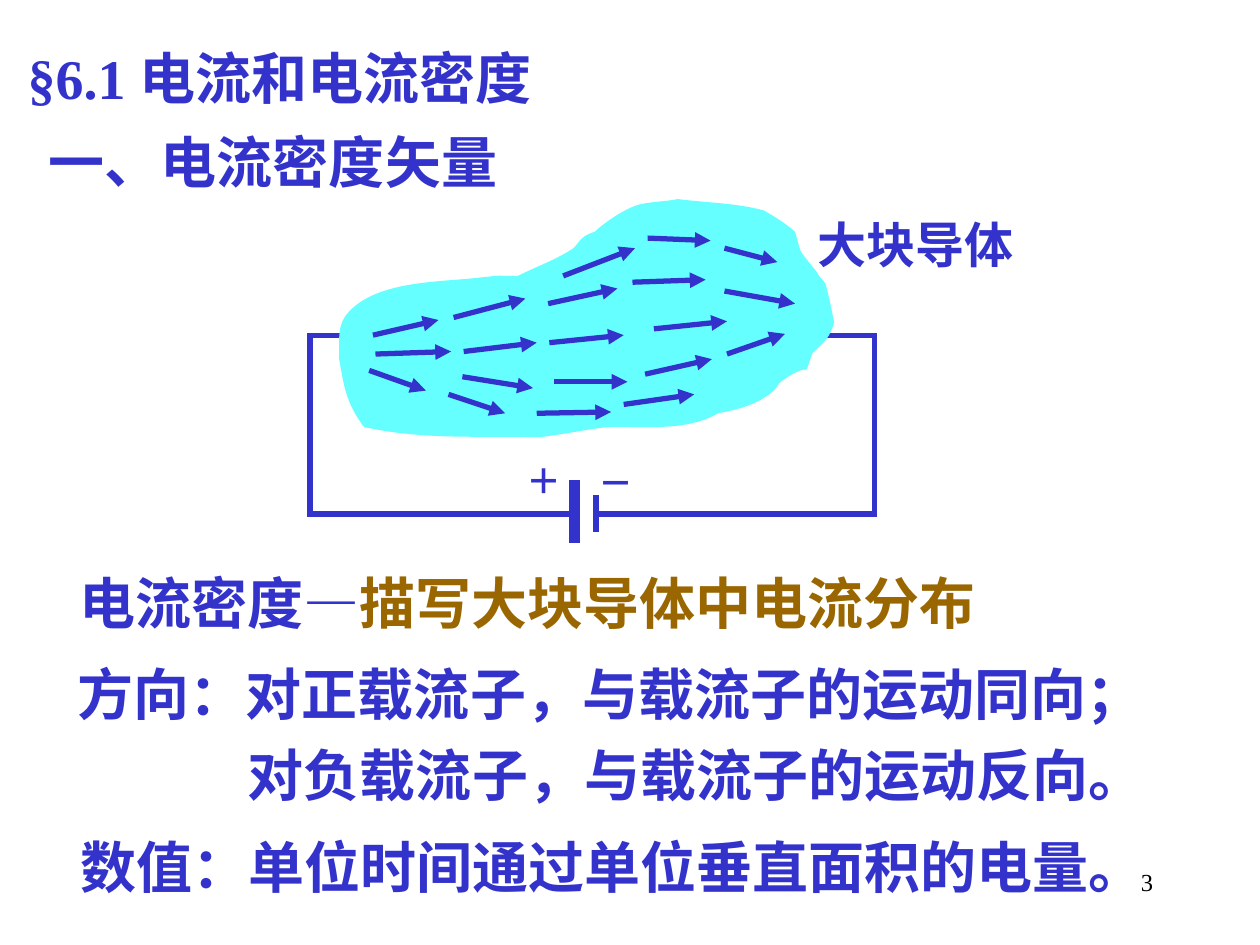
from dataclasses import dataclass

from lxml.etree import SubElement
from pptx import Presentation
from pptx.dml.color import RGBColor
from pptx.enum.shapes import MSO_CONNECTOR, MSO_SHAPE
from pptx.enum.text import PP_ALIGN
from pptx.oxml.ns import qn
from pptx.util import Inches, Pt


@dataclass(frozen=True)
class Theme:
    """Colours, fonts and sizes of the slide."""
    blue: str = "3333CC"
    brown: str = "996600"
    cyan: str = "66FFFF"
    white: str = "FFFFFF"
    black: str = "000000"
    latin: str = "Times New Roman"
    chinese: str = "Noto Sans CJK SC"
    body: int = 32
    label: int = 28
    sign: int = 20
    number: int = 14
    wire: float = 3
    plate: float = 6


@dataclass(frozen=True)
class Grid:
    """Square cells counted from a left top corner."""
    left: int
    top: int
    cell: int

    def point(self, column, row):
        """Give the slide position of a grid point."""
        return self.left + column * self.cell, self.top + row * self.cell

    def box(self, column, row, columns, rows):
        """Give left, top, width and height of a block of cells."""
        return *self.point(column, row), columns * self.cell, rows * self.cell

    def inner(self, column, row):
        """Give a grid of the same cells that starts at a point of this one."""
        return Grid(*self.point(column, row), self.cell)


THEME = Theme()

OUTLINE_START = (171, 69)
OUTLINE_CURVES = [
    ((185, 62), (199, 57), (212, 49)), ((220, 45), (218, 38), (232, 34)),
    ((239, 27), (258, 14), (269, 12)), ((278, 10), (288, 10), (298, 8)),
    ((321, 11), (344, 11), (366, 17)), ((375, 22), (383, 27), (391, 34)),
    ((397, 54), (392, 45), (405, 62)), ((407, 64), (409, 67), (410, 69)),
    ((412, 71), (415, 75), (415, 75)), ((418, 85), (420, 96), (422, 106)),
    ((419, 117), (415, 121), (405, 130)), ((396, 154), (407, 134), (381, 152)),
    ((378, 154), (376, 158), (374, 160)), ((362, 171), (346, 175), (330, 178)),
    ((304, 193), (271, 188), (242, 189)), ((224, 191), (206, 195), (188, 197)),
    ((133, 196), (97, 199), (49, 189)), ((34, 169), (33, 156), (29, 134)),
    ((30, 123), (27, 111), (34, 101)), ((54, 74), (103, 74), (134, 71)),
    ((164, 68), (147, 69), (171, 69)),
]
CURRENT_ARROWS = [
    (56, 116, 108, 104), (120, 102, 177, 87), (195, 91, 250, 79),
    (262, 74, 320, 72), (58, 131, 118, 129), (128, 129, 186, 122),
    (335, 81, 391, 91), (196, 122, 255, 116), (279, 111, 337, 105),
    (337, 131, 383, 115), (127, 149, 183, 158), (200, 153, 258, 153),
    (272, 147, 325, 135), (53, 144, 98, 160), (116, 163, 161, 178),
    (186, 178, 245, 177), (207, 69, 264, 47), (274, 39, 324, 41),
    (335, 47, 377, 58), (255, 171, 311, 163),
]


def color(value):
    """Turn a hex value into a colour."""
    return RGBColor.from_string(value)


def add_text(shapes, box, pieces, size=THEME.body, bold=True, wrap=True):
    """Place a text box with one paragraph of (text, colour) pieces."""
    frame = shapes.add_textbox(*box).text_frame
    frame.word_wrap = wrap
    paragraph = frame.paragraphs[0]
    for text, value in pieces:
        run = paragraph.add_run()
        run.text = text
        run.font.size, run.font.bold = Pt(size), bold
        run.font.color.rgb = color(value)
        run.font.name = THEME.latin
        SubElement(run.font._element, qn("a:ea"), typeface=THEME.chinese)
    return paragraph


def add_block(shapes, box, fill, line, width):
    """Place a plain rectangle with sharp corners."""
    block = shapes.add_shape(MSO_SHAPE.RECTANGLE, *box)
    block.shadow.inherit = False
    block.fill.solid()
    block.fill.fore_color.rgb = color(fill)
    block.line.color.rgb = color(line)
    block.line.width = Pt(width)
    SubElement(block.line._get_or_add_ln(), qn("a:miter"), lim="800000")


def add_line(shapes, start, end, width, arrow=False):
    """Draw a straight blue line, with an arrowhead if asked."""
    connector = shapes.add_connector(MSO_CONNECTOR.STRAIGHT, *start, *end)
    connector.line.color.rgb = color(THEME.blue)
    connector.line.width = Pt(width)
    if arrow:
        SubElement(connector.line._get_or_add_ln(), qn("a:tailEnd"), type="triangle")
    SubElement(connector._element.spPr, qn("a:effectLst"))


def bend_segments(shape):
    """Turn each three straight segments of a freeform into one cubic curve."""
    segments = list(shape._element.iter(qn("a:lnTo")))
    for first, second, end in zip(*[iter(segments)] * 3):
        first.tag = qn("a:cubicBezTo")
        for segment in (second, end):
            first.append(segment[0])
            segment.getparent().remove(segment)


def add_conductor(shapes, grid):
    """Draw the conductor body and the current arrows in it."""
    builder = shapes.build_freeform(*grid.point(*OUTLINE_START))
    builder.add_line_segments([grid.point(*point) for curve in OUTLINE_CURVES
                               for point in curve])
    body = builder.convert_to_shape()
    bend_segments(body)
    body.shadow.inherit = False
    body.fill.solid()
    body.fill.fore_color.rgb = color(THEME.cyan)
    body.line.fill.background()
    for x1, y1, x2, y2 in CURRENT_ARROWS:
        add_line(shapes, grid.point(x1, y1), grid.point(x2, y2), THEME.wire, True)


def add_battery(shapes, grid):
    """Draw the battery plates and their signs."""
    add_block(shapes, grid.box(4, 35, 21, 23), THEME.white, THEME.white, 0.75)
    for column, top, bottom, width in ((8, 21, 71, THEME.plate), (25, 33, 62, THEME.wire)):
        add_line(shapes, grid.point(column, top), grid.point(column, bottom), width)
    for column, row, sign in ((-40, 0, "＋"), (17, 1, "－")):
        add_text(shapes, grid.box(column, row, 66, 43), [(sign, THEME.blue)], THEME.sign)


def add_circuit(slide, grid):
    """Draw the circuit with its conductor, battery and label."""
    shapes = slide.shapes.add_group_shape().shapes
    add_block(shapes, grid.box(6, 116, 448, 142), THEME.white, THEME.blue, THEME.wire)
    add_conductor(shapes, grid)
    add_battery(shapes, grid.inner(208, 210))
    add_text(shapes, grid.box(399, 15, 209, 57), [("大块导体", THEME.blue)], THEME.label)


def add_headings(slide, grid):
    """Place the section title and the subheading."""
    add_text(slide.shapes, grid.box(0, 0, 588, 63), [("§6.1 电流和电流密度", THEME.blue)])
    add_text(slide.shapes, grid.box(17, 66, 377, 63),
             [("一、电流密度矢量", THEME.blue)], wrap=False)


def add_definition(slide, grid):
    """Place the definition with its direction and magnitude."""
    add_text(slide.shapes, grid.box(1, 0, 759, 63),
             [("电流密度—", THEME.blue), ("描写大块导体中电流分布", THEME.brown)])
    direction = add_text(slide.shapes, grid.box(0, 62, 890, 138),
                         [("方向：对正载流子，与载流子的运动同向； 对负载流子，与载流子的运动反向。",
                           THEME.blue)])
    direction.line_spacing = 1.2
    properties = direction._p.get_or_add_pPr()
    properties.set("marL", str(Inches(1.35)))
    properties.set("indent", str(-Inches(1.35)))
    add_text(slide.shapes, grid.box(2, 210, 890, 63),
             [("数值：单位时间通过单位垂直面积的电量。", THEME.blue)])


def add_page_number(slide, grid):
    """Place the page number."""
    number = add_text(slide.shapes, grid.box(0, 0, 208, 50),
                      [("3", THEME.black)], THEME.number, bold=False)
    number.alignment = PP_ALIGN.RIGHT


def main():
    """Build the slide and save it."""
    presentation = Presentation()
    presentation.slide_width, presentation.slide_height = Inches(10), Inches(7.5)
    slide = presentation.slides.add_slide(presentation.slide_layouts[6])
    page = Grid(0, 0, presentation.slide_width // 1000)
    add_page_number(slide, page.inner(717, 683))
    add_headings(slide, page.inner(12, 30))
    add_circuit(slide, page.inner(240, 150))
    add_definition(slide, page.inner(52, 446))
    presentation.save("out.pptx")


if __name__ == "__main__":
    main()
